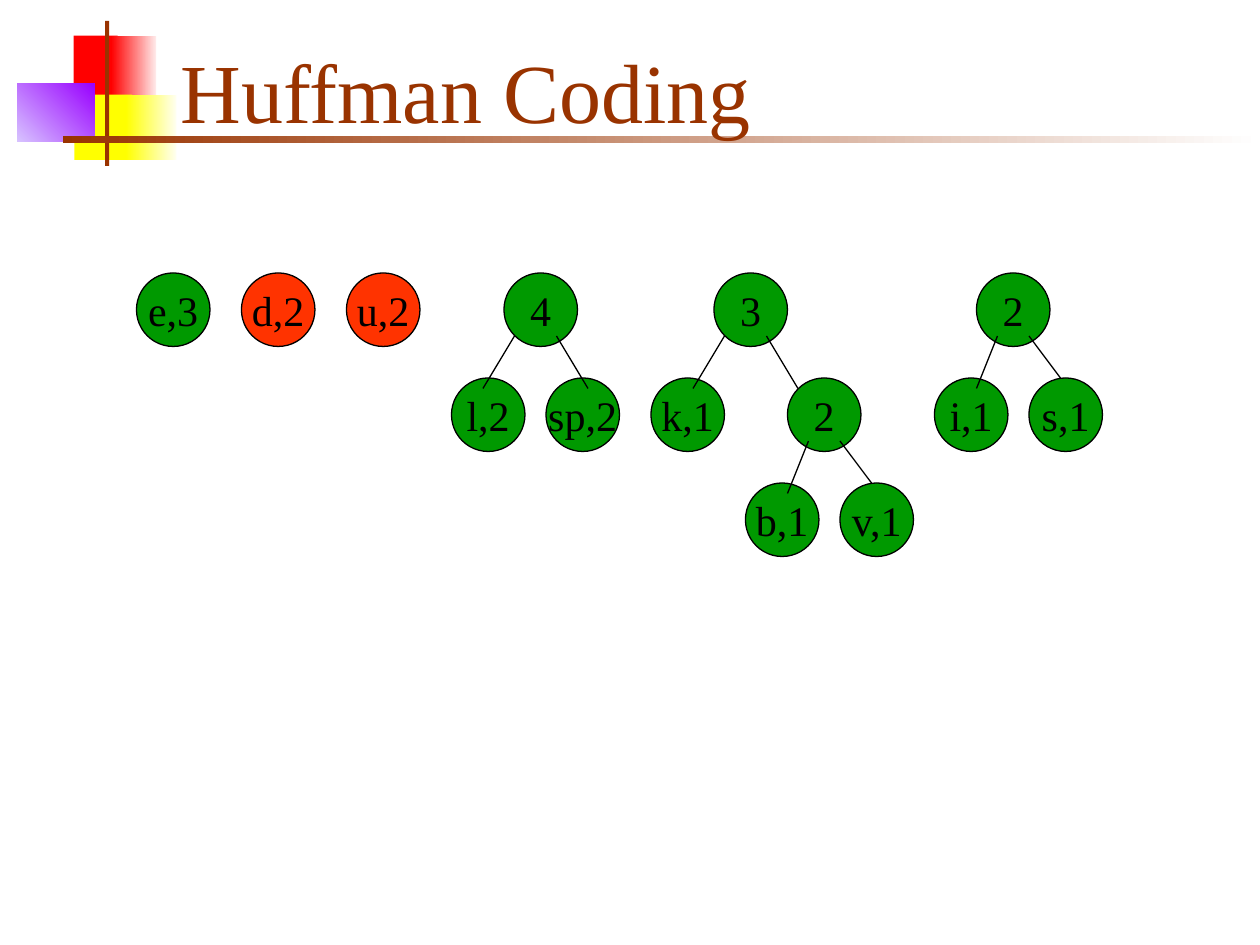
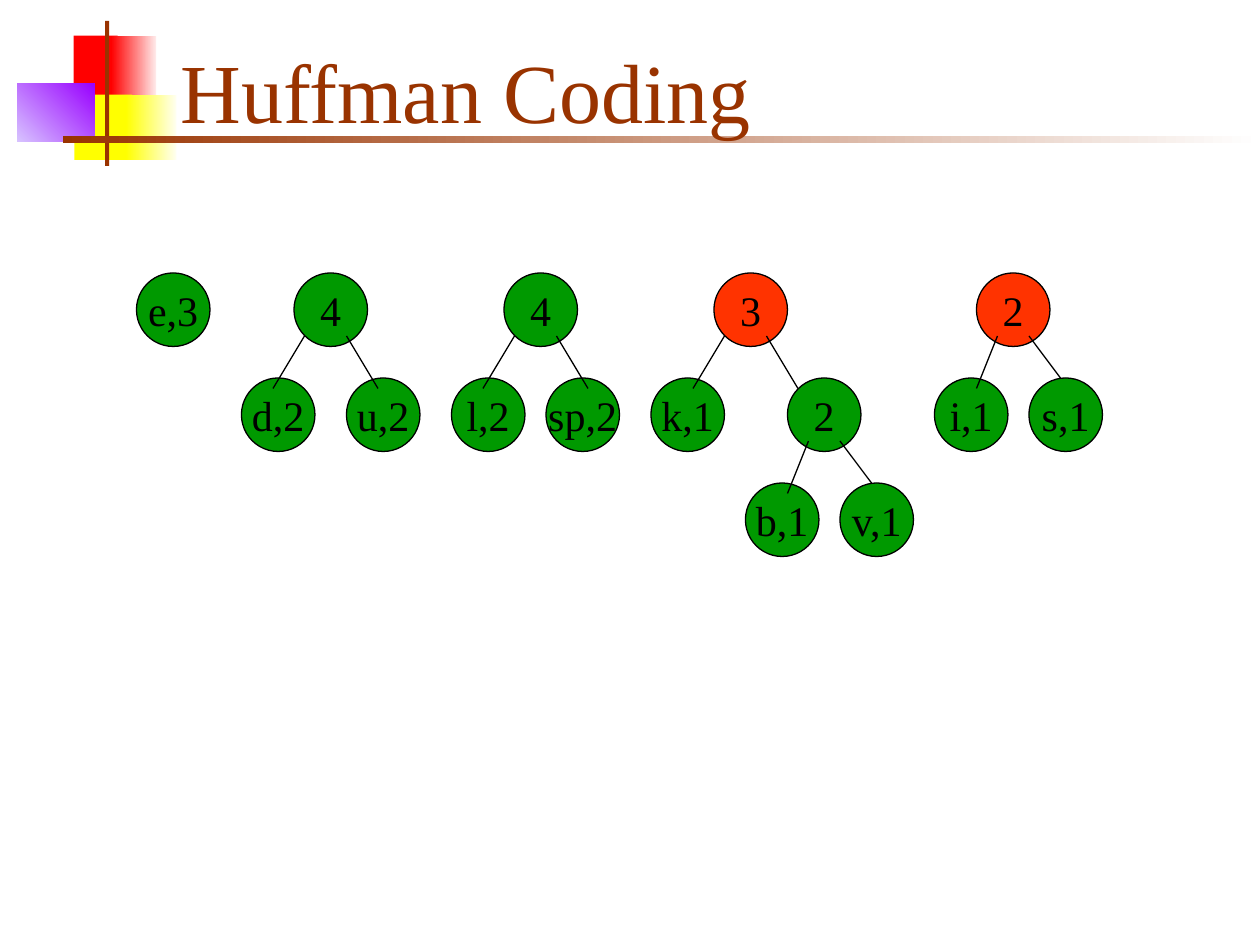
"""Two steps of building a Huffman code, drawn as forests of weighted nodes."""
from dataclasses import dataclass

from lxml import etree
from pptx import Presentation
from pptx.dml.color import RGBColor
from pptx.enum.shapes import MSO_CONNECTOR, MSO_SHAPE
from pptx.enum.text import MSO_ANCHOR, MSO_AUTO_SIZE, PP_ALIGN
from pptx.oxml.ns import qn
from pptx.util import Pt

RECTANGLE, OVAL = MSO_SHAPE.RECTANGLE, MSO_SHAPE.OVAL
STRAIGHT = MSO_CONNECTOR.STRAIGHT
LEFT, CENTER = PP_ALIGN.LEFT, PP_ALIGN.CENTER
MIDDLE, BOTTOM = MSO_ANCHOR.MIDDLE, MSO_ANCHOR.BOTTOM
NO_FIT = MSO_AUTO_SIZE.NONE
TITLE_ONLY = 5


@dataclass(frozen=True)
class Theme:
    """Colours, type and line sizes shared by the slides."""
    font: str = "Times New Roman"
    title_size: float = 48
    node_size: float = 24
    hairline: float = 0.75
    brown: str = "993300"
    red: str = "FF0000"
    pink: str = "FFEAEA"
    yellow: str = "FFFF00"
    cream: str = "FFFFF0"
    lilac: str = "D8C4FF"
    violet: str = "9900FF"
    white: str = "FFFFFF"
    black: str = "000000"
    green: str = "009900"
    orange: str = "FF3300"


@dataclass(frozen=True)
class Node:
    """A tree node: its label, left edge, children, branch style and mark."""
    label: str
    left: float
    children: tuple = ()
    branches: tuple = ()
    marked: bool = False


THEME = Theme()
DIAMETER = 42
TOP = 156
ROW_STEP = 60
WIDE = ((6, 36, -12, 66), (30, 36, 48, 66))
NARROW = ((12, 36, 0, 66), (30, 36, 48, 60))


def rgb(code):
    """Turn a hex code into a colour."""
    return RGBColor.from_string(code)


def write_text(shape, text, *, size, color, align, anchor, wrap):
    """Put one formatted paragraph into a shape."""
    frame = shape.text_frame
    frame.auto_size = NO_FIT
    frame.word_wrap = wrap
    frame.vertical_anchor = anchor
    para = frame.paragraphs[0]
    para.alignment = align
    span = para.add_run()
    span.text = text
    span.font.name = THEME.font
    span.font.size = Pt(size)
    span.font.color.rgb = rgb(color)


def add_block(page, left, top, width, height, colors, angle=0):
    """Add a borderless rectangle with a solid or two-colour gradient fill."""
    block = page.shapes.add_shape(RECTANGLE, Pt(left), Pt(top), Pt(width), Pt(height))
    block.shadow.inherit = False
    block.line.fill.background()
    if len(colors) == 1:
        block.fill.solid()
        block.fill.fore_color.rgb = rgb(colors[0])
    else:
        block.fill.gradient()
        block.fill.gradient_angle = angle
        for stop, color in zip(block.fill.gradient_stops, colors):
            stop.color.rgb = rgb(color)
    return block


def add_ornament(page):
    """Draw the title ornament and move it to the layout that the slides share."""
    layout = page.slide_layout
    for holder in list(layout.placeholders)[1:]:
        layout.shapes.element.remove(holder.element)
    blocks = (
        (42, 20.4, 25.2, 37.4, (THEME.red,)),
        (63.6, 20.4, 25.6, 37.4, (THEME.red, THEME.pink)),
        (42.5, 54, 33.1, 37.4, (THEME.yellow,)),
        (72, 54, 28.8, 37.4, (THEME.yellow, THEME.cream)),
        (9.8, 47.8, 44.3, 33.4, (THEME.lilac, THEME.violet), 45),
        (60, 12, 2.4, 82.8, (THEME.brown,)),
        (36, 77.8, 684, 3.8, (THEME.brown, THEME.white)),
    )
    for block in blocks:
        layout.shapes.element.append(add_block(page, *block).element)


def add_title(page, text):
    """Place and fill the title."""
    title = page.shapes.title
    title.left, title.top, title.width, title.height = Pt(96), Pt(18), Pt(613.5), Pt(66)
    write_text(title, text, size=THEME.title_size, color=THEME.brown,
               align=LEFT, anchor=BOTTOM, wrap=True)


def add_branch(page, start_x, start_y, end_x, end_y):
    """Draw a thin line from a parent to a child."""
    line = page.shapes.add_connector(STRAIGHT, Pt(start_x), Pt(start_y), Pt(end_x), Pt(end_y))
    line.line.color.rgb = rgb(THEME.black)
    line.line.width = Pt(THEME.hairline)
    etree.SubElement(line.element.spPr, qn("a:effectLst"))


def add_tree(page, node, top=TOP):
    """Draw the children of a node, then the node and its branches."""
    for child in node.children:
        add_tree(page, child, top + ROW_STEP)
    circle = page.shapes.add_shape(OVAL, Pt(node.left), Pt(top), Pt(DIAMETER), Pt(DIAMETER))
    circle.shadow.inherit = False
    circle.fill.solid()
    circle.fill.fore_color.rgb = rgb(THEME.orange if node.marked else THEME.green)
    circle.line.color.rgb = rgb(THEME.black)
    circle.line.width = Pt(THEME.hairline)
    write_text(circle, node.label, size=THEME.node_size, color=THEME.black,
               align=CENTER, anchor=MIDDLE, wrap=False)
    for start_x, start_y, end_x, end_y in node.branches:
        add_branch(page, node.left + start_x, top + start_y, node.left + end_x, top + end_y)


def make_forest(merged):
    """List the trees before or after d and u are merged."""
    d_leaf = Node("d,2", 138, marked=not merged)
    u_leaf = Node("u,2", 198, marked=not merged)
    pair = (Node("4", 168, (d_leaf, u_leaf), WIDE),) if merged else (d_leaf, u_leaf)
    inner = Node("2", 450, (Node("b,1", 426), Node("v,1", 480)), NARROW)
    return (
        Node("e,3", 78),
        *pair,
        Node("4", 288, (Node("l,2", 258), Node("sp,2", 312)), WIDE),
        Node("3", 408, (Node("k,1", 372), inner), WIDE, merged),
        Node("2", 558, (Node("i,1", 534), Node("s,1", 588)), NARROW, merged),
    )


def main():
    """Build and save the deck."""
    deck = Presentation()
    deck.slide_width, deck.slide_height = Pt(720), Pt(540)
    layout = deck.slide_layouts[TITLE_ONLY]
    for merged in (False, True):
        page = deck.slides.add_slide(layout)
        if not merged:
            add_ornament(page)
        add_title(page, "Huffman Coding")
        for tree in make_forest(merged):
            add_tree(page, tree)
    deck.save("out.pptx")


main()
